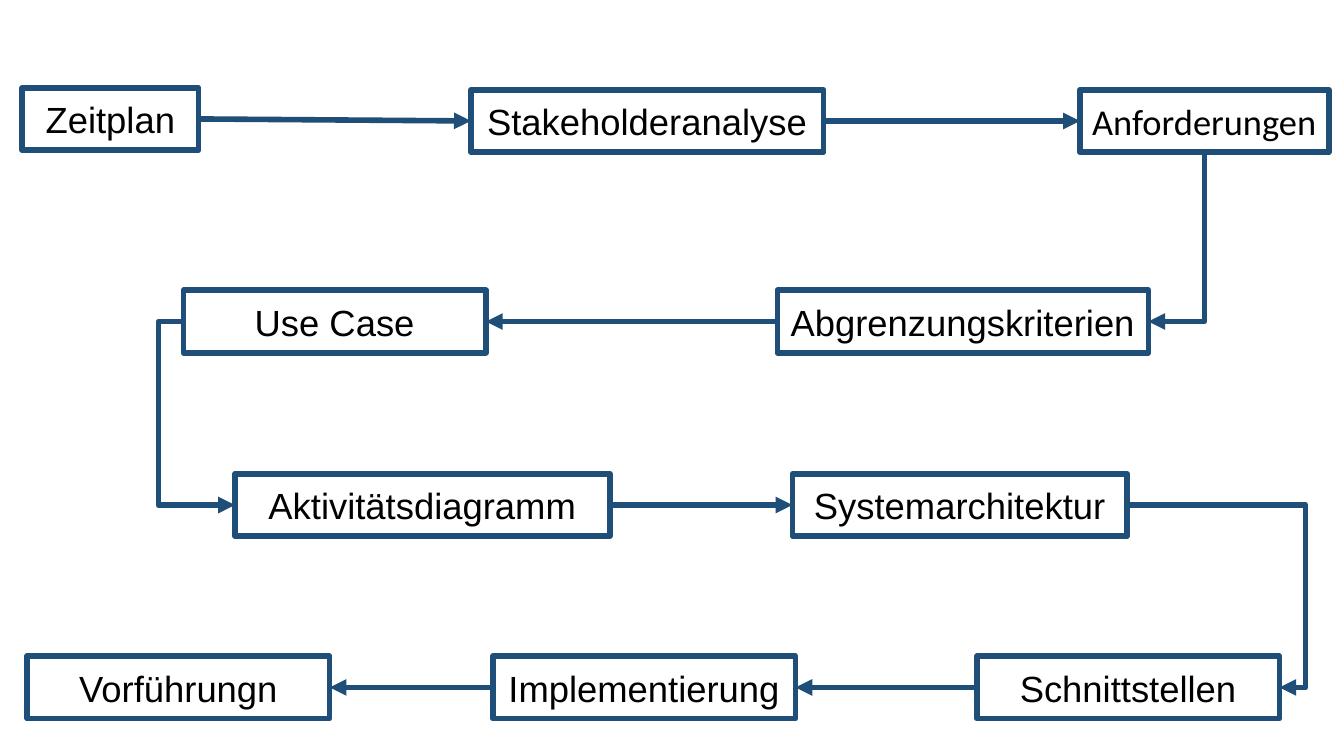
import pptx
import pptx.util
import pptx.dml.color
import pptx.enum.shapes
import pptx.enum.text
import pptx.oxml.ns
import lxml.etree

BLUE = pptx.dml.color.RGBColor(0x1F, 0x4E, 0x79)
WHITE = pptx.dml.color.RGBColor(0xFF, 0xFF, 0xFF)
BLACK = pptx.dml.color.RGBColor(0, 0, 0)
PX = 9144
SLIDE_SIZE = (1333, 750)
STEP_HEIGHT = 62
TOP, LEFT, BOTTOM, RIGHT = range(4)

STEPS = [
    ("Zeitplan", 22, 87, 175, "Arial"),
    ("Stakeholderanalyse", 467, 89, 350, "Arial"),
    ("Anforderungen", 1071, 89, 247, "Calibri"),
    ("Abgrenzungskriterien", 771, 288, 368, "Arial"),
    ("Use Case", 182, 288, 300, "Arial"),
    ("Aktivitätsdiagramm", 233, 470, 372, "Arial"),
    ("Systemarchitektur", 786, 470, 332, "Arial"),
    ("Schnittstellen", 969, 651, 300, "Arial"),
    ("Implementierung", 489, 651, 300, "Arial"),
    ("Vorführungn", 27, 651, 300, "Arial"),
]
STRAIGHT_ARROWS = [
    ("Zeitplan", RIGHT, "Stakeholderanalyse", LEFT),
    ("Stakeholderanalyse", RIGHT, "Anforderungen", LEFT),
    ("Abgrenzungskriterien", LEFT, "Use Case", RIGHT),
    ("Aktivitätsdiagramm", RIGHT, "Systemarchitektur", LEFT),
    ("Schnittstellen", LEFT, "Implementierung", RIGHT),
    ("Implementierung", LEFT, "Vorführungn", RIGHT),
]
CORNER_ARROW = ("Anforderungen", BOTTOM, "Abgrenzungskriterien", RIGHT)
RAIL_ARROWS = [
    ("Use Case", LEFT, "Aktivitätsdiagramm", LEFT, 157),
    ("Systemarchitektur", RIGHT, "Schnittstellen", RIGHT, 1295),
]
OUTLINE = {"width": pptx.util.Pt(4)}
FRAME = {"word_wrap": False, "vertical_anchor": pptx.enum.text.MSO_ANCHOR.MIDDLE}
FONT = {"size": pptx.util.Pt(26)}


def apply(target, values):
    for key, value in values.items():
        setattr(target, key, value)


def draw_outline(line):
    line.color.rgb = BLUE
    apply(line, OUTLINE)


def side_middle(step, side):
    x = {LEFT: 0, RIGHT: step.width}.get(side, step.width // 2)
    y = {TOP: 0, BOTTOM: step.height}.get(side, step.height // 2)
    return step.left + x, step.top + y


def add_arrow(slide, kind, start, end):
    arrow = slide.shapes.add_connector(kind, *start, *end)
    draw_outline(arrow.line)
    properties = arrow._element.spPr
    outline = properties.find(pptx.oxml.ns.qn("a:ln"))
    lxml.etree.SubElement(outline, pptx.oxml.ns.qn("a:tailEnd"), type="triangle")
    lxml.etree.SubElement(properties, pptx.oxml.ns.qn("a:effectLst"))
    return arrow


def add_step(slide, label, left, top, width, face):
    step = slide.shapes.add_shape(
        pptx.enum.shapes.MSO_SHAPE.RECTANGLE,
        left * PX, top * PX, width * PX, STEP_HEIGHT * PX)
    step.shadow.inherit = False
    step.fill.solid()
    step.fill.fore_color.rgb = WHITE
    draw_outline(step.line)
    apply(step.text_frame, FRAME)
    paragraph = step.text_frame.paragraphs[0]
    paragraph.alignment = pptx.enum.text.PP_ALIGN.CENTER
    run = paragraph.add_run()
    run.text = label
    apply(run.font, {**FONT, "name": face})
    run.font.color.rgb = BLACK
    return step


def add_corner_arrow(slide, start, end):
    run, drop = end[1] - start[1], start[0] - end[0]
    left = (start[0] + end[0] - run) // 2
    top = (start[1] + end[1] - drop) // 2
    arrow = add_arrow(slide, pptx.enum.shapes.MSO_CONNECTOR.ELBOW,
                      (left, top), (left + run, top + drop))
    properties = arrow._element.spPr
    properties.find(pptx.oxml.ns.qn("a:xfrm")).set("rot", "5400000")
    properties.find(pptx.oxml.ns.qn("a:prstGeom")).set("prst", "bentConnector2")


def add_rail_arrow(slide, start, end, rail):
    arrow = add_arrow(slide, pptx.enum.shapes.MSO_CONNECTOR.ELBOW, start, end)
    share = round((rail * PX - start[0]) / (end[0] - start[0]) * 100000)
    geometry = arrow._element.spPr.find(pptx.oxml.ns.qn("a:prstGeom"))
    guides = geometry.find(pptx.oxml.ns.qn("a:avLst"))
    if guides is None:
        guides = lxml.etree.SubElement(geometry, pptx.oxml.ns.qn("a:avLst"))
    lxml.etree.SubElement(guides, pptx.oxml.ns.qn("a:gd"),
                          name="adj1", fmla=f"val {share}")


def main():
    deck = pptx.Presentation()
    deck.slide_width, deck.slide_height = (side * PX for side in SLIDE_SIZE)
    slide = deck.slides.add_slide(deck.slide_layouts[6])
    steps = {step[0]: add_step(slide, *step) for step in STEPS}

    def ends(source, source_side, target, target_side):
        return (side_middle(steps[source], source_side),
                side_middle(steps[target], target_side))

    for source, source_side, target, target_side in STRAIGHT_ARROWS:
        arrow = add_arrow(slide, pptx.enum.shapes.MSO_CONNECTOR.STRAIGHT,
                          *ends(source, source_side, target, target_side))
        arrow.begin_connect(steps[source], source_side)
        arrow.end_connect(steps[target], target_side)
    add_corner_arrow(slide, *ends(*CORNER_ARROW))
    for *link, rail in RAIL_ARROWS:
        add_rail_arrow(slide, *ends(*link), rail)
    deck.save("out.pptx")


if __name__ == "__main__":
    main()
